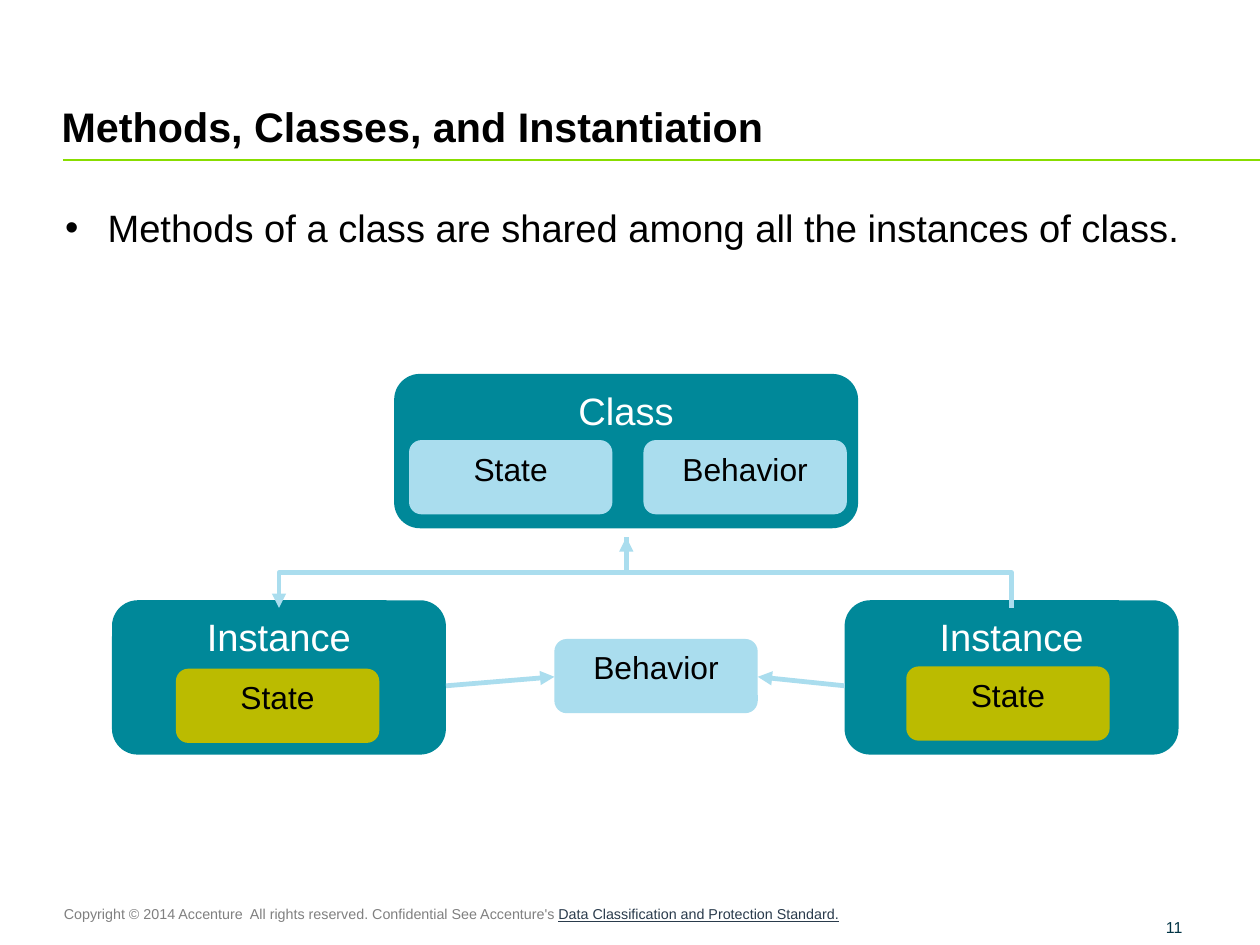
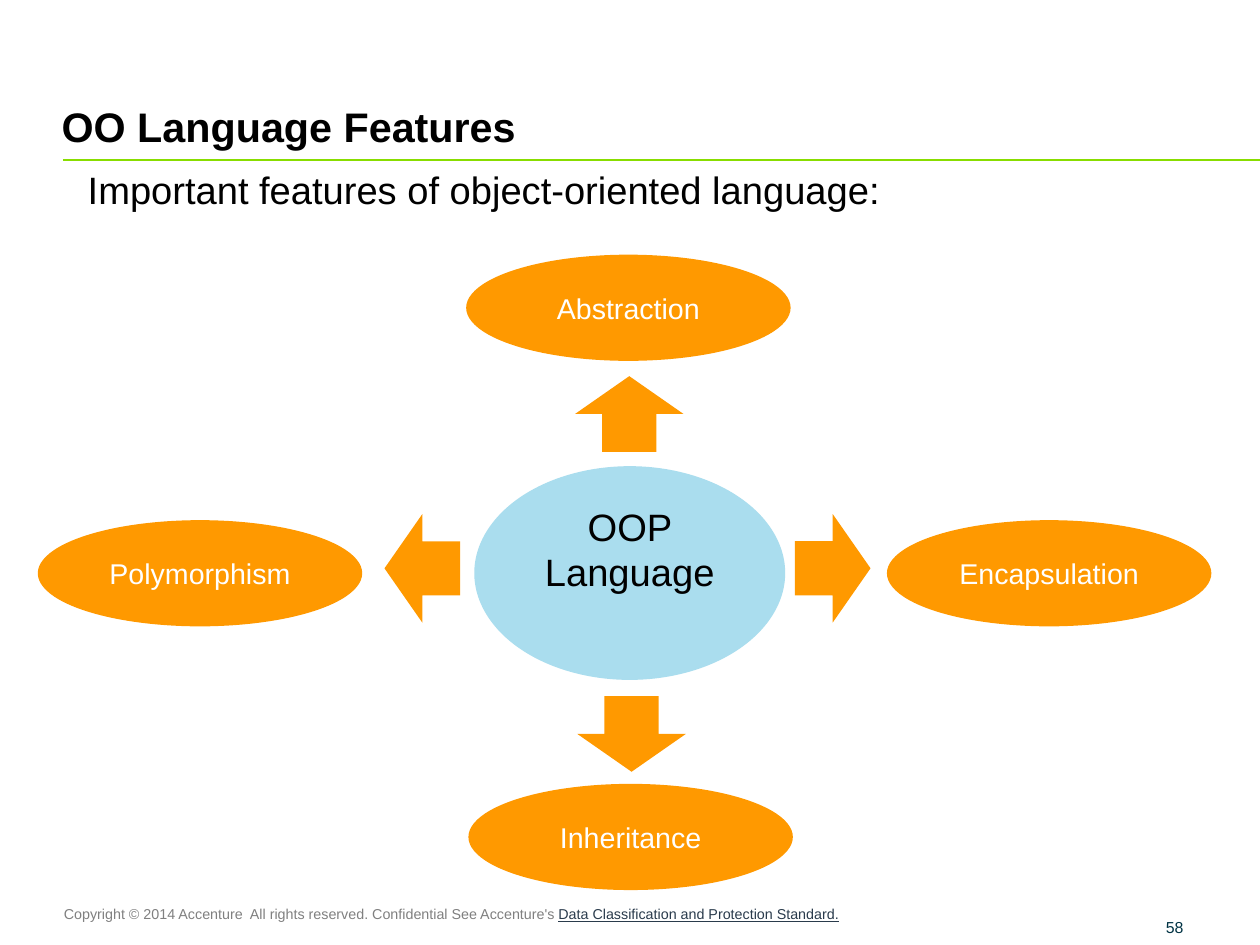
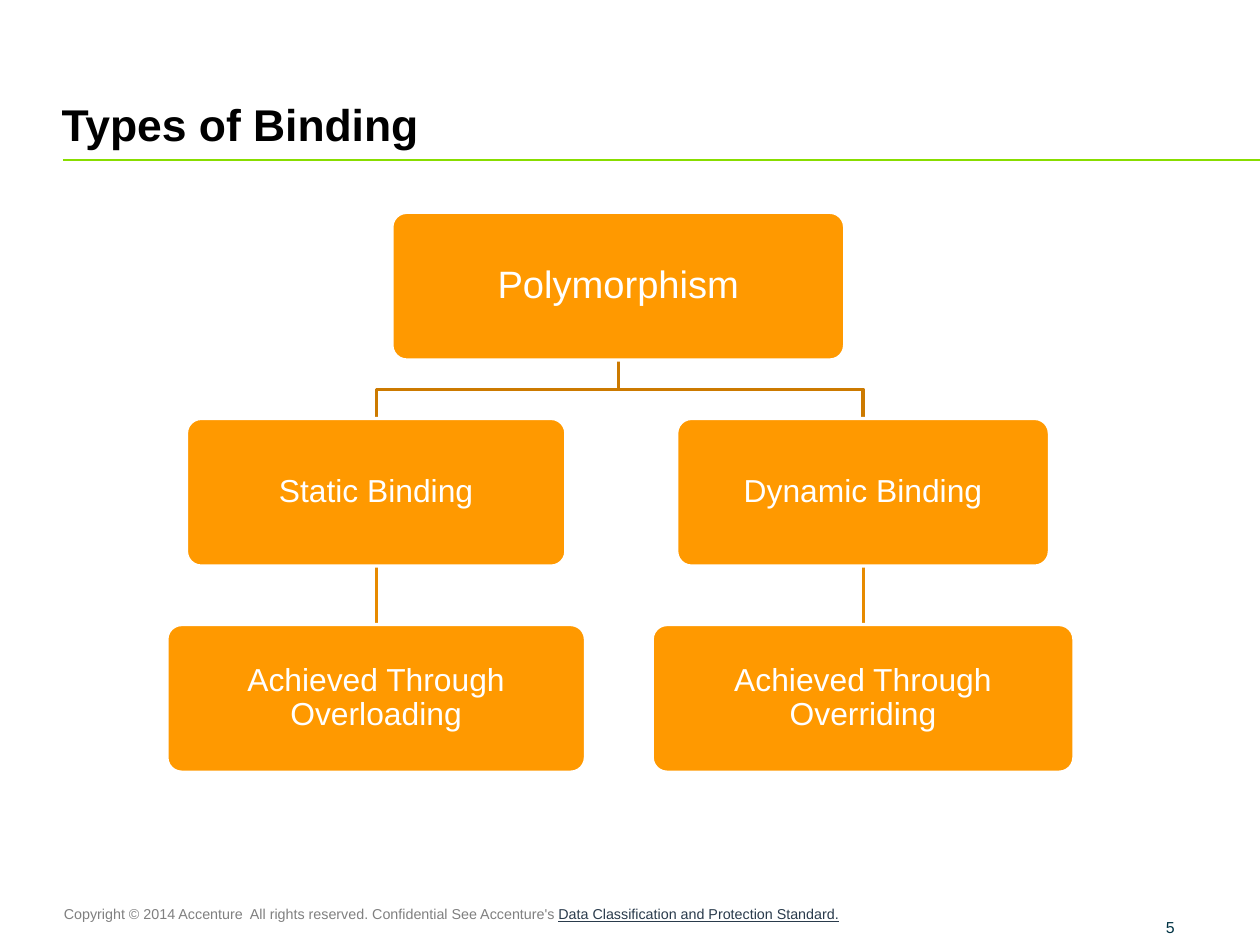
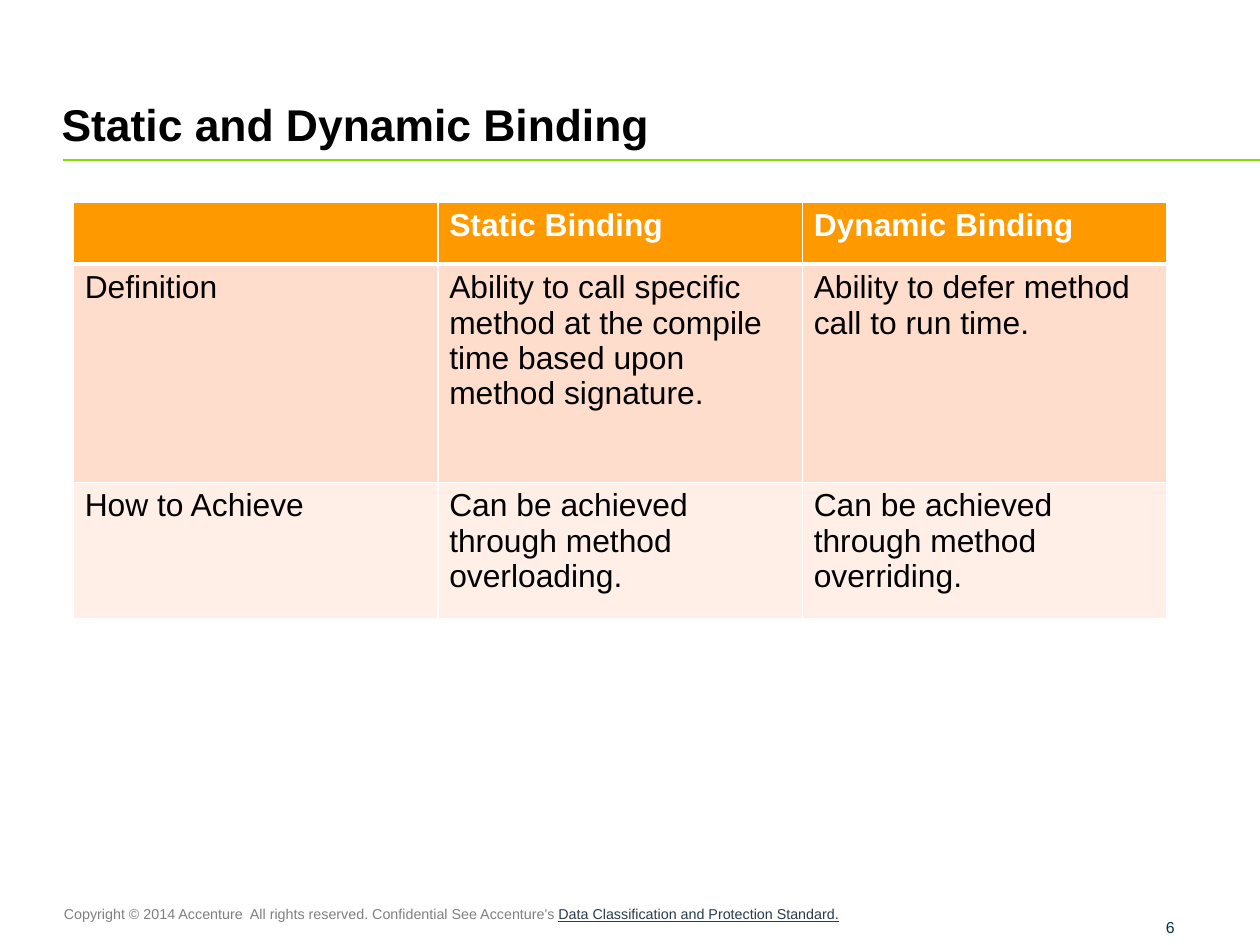
from lxml.etree import SubElement
from pptx import Presentation
from pptx.dml.color import RGBColor
from pptx.enum.shapes import MSO_CONNECTOR as LINK, MSO_SHAPE as SHAPE
from pptx.enum.text import MSO_ANCHOR as ANCHOR, PP_ALIGN as ALIGN
from pptx.oxml.ns import qn
from pptx.util import Cm, Pt

FONT = "Arial"
BLACK, WHITE = "000000", "FFFFFF"
GREEN, TEAL, SKY, OLIVE, ORANGE = "88DD00", "008899", "AADDEE", "BBBB00", "FF9900"
BROWN, AMBER = "CC7A00", "E78A00"
PEACH, CREAM = "FFDDCC", "FFEFE7"
GREY, NAVY, INK = "808080", "2A3B4C", "003344"
NOTICE = "Copyright © 2014 Accenture  All rights reserved. Confidential See Accenture's "
POLICY = "Data Classification and Protection Standard."
CHIP = (4.52, 1.65)


def hex_color(value):
    """Turn a hex string into a colour."""
    return RGBColor.from_string(value)


def style(span, size, color, bold=False):
    """Format the font of a run."""
    span.font.name = FONT
    span.font.size = Pt(size)
    span.font.bold = bold
    span.font.color.rgb = hex_color(color)


def add_text(page, box, text, size, color, bold=False, anchor=ANCHOR.TOP, insets=(0.25, 0.13, 0.25, 0.13)):
    """Add a text box and return its first paragraph."""
    frame = page.shapes.add_textbox(*map(Cm, box)).text_frame
    frame.word_wrap = True
    frame.vertical_anchor = anchor
    frame.margin_left, frame.margin_top, frame.margin_right, frame.margin_bottom = map(Cm, insets)
    frame.text = text
    para = frame.paragraphs[0]
    style(para.runs[0], size, color, bold)
    return para


def add_block(page, kind, box, fill, text="", size=20, color=BLACK, anchor=ANCHOR.TOP):
    """Add a filled shape with an optional centred label."""
    block = page.shapes.add_shape(kind, *map(Cm, box))
    block.shadow.inherit = False
    block.fill.solid()
    block.fill.fore_color.rgb = hex_color(fill)
    block.line.fill.background()
    if text:
        frame = block.text_frame
        frame.word_wrap = True
        frame.vertical_anchor = anchor
        frame.text = text
        para = frame.paragraphs[0]
        para.alignment = ALIGN.CENTER
        style(para.runs[0], size, color)
    return block


def add_line(page, start, end, color, width, arrow=False, kind=LINK.STRAIGHT):
    """Add a connector, with an arrowhead at its end if wanted."""
    line = page.shapes.add_connector(kind, *map(Cm, (*start, *end)))
    line.line.color.rgb = hex_color(color)
    line.line.width = Pt(width)
    if arrow:
        SubElement(line.line._get_or_add_ln(), qn("a:tailEnd"), type="triangle")
    SubElement(line._element.spPr, qn("a:effectLst"))
    return line


def add_elbow(page, start, end, color, width, arrow=False):
    """Add a bent connector that leaves and arrives vertically."""
    middle_x, middle_y = (start[0] + end[0]) / 2, (start[1] + end[1]) / 2
    half_x, half_y = (end[0] - start[0]) / 2, (end[1] - start[1]) / 2
    line = add_line(page, (middle_x - half_y, middle_y + half_x),
                    (middle_x + half_y, middle_y - half_x), color, width, arrow, LINK.ELBOW)
    line._element.spPr.find(qn("a:xfrm")).set("rot", "5400000")


def add_page(deck, title, number, size):
    """Add a slide with its title, rule, footer and number."""
    page = deck.slides.add_slide(deck.slide_layouts[6])
    add_line(page, (1.4, 3.56), (28, 3.56), GREEN, 1)
    notice = add_text(page, (1.17, 19.99, 25.55, 0.64), NOTICE, 9, GREY)
    policy = notice.add_run()
    policy.text = POLICY
    style(policy, 9, NAVY)
    policy.font.underline = True
    add_text(page, (1.37, 0.94, 26.62, 2.41), title, size, BLACK, True, ANCHOR.BOTTOM, (0, 0.13, 0.25, 0))
    add_text(page, (25.91, 20.02, 1.96, 0.79), number, 10, INK, anchor=ANCHOR.BOTTOM, insets=(0, 0, 0, 0))
    return page


def add_card(page, left, top, width, name, chips):
    """Add a teal card holding chips placed relative to its corner."""
    add_block(page, SHAPE.ROUNDED_RECTANGLE, (left, top, width, 3.43), TEAL, name, 24, WHITE)
    for x, y, fill, text in chips:
        add_block(page, SHAPE.ROUNDED_RECTANGLE, (left + x, top + y, *CHIP), fill, text)


def build_instantiation(deck):
    """Build the slide on classes and their instances."""
    page = add_page(deck, "Methods, Classes, and Instantiation", "11", 26)
    para = add_text(page, (1.42, 4.42, 25.22, 1.5),
                    "Methods of a class are shared among all the instances of class.",
                    24, BLACK, insets=(0, 0.13, 0.25, 0.13))
    props = para._p.get_or_add_pPr()
    props.set("marL", str(Cm(0.97)))
    props.set("indent", str(-Cm(0.94)))
    SubElement(props, qn("a:buFont"), typeface=FONT)
    SubElement(props, qn("a:buChar"), char="•")

    add_card(page, 8.76, 8.31, 10.31, "Class", [(0.33, 1.47, SKY, "State"), (5.54, 1.47, SKY, "Behavior")])
    add_card(page, 2.49, 13.34, 7.42, "Instance", [(1.42, 1.52, OLIVE, "State")])
    add_card(page, 18.77, 13.34, 7.42, "Instance", [(1.37, 1.47, OLIVE, "State")])
    add_block(page, SHAPE.ROUNDED_RECTANGLE, (12.32, 14.2, *CHIP), SKY, "Behavior")

    hub = (13.92, 11.94)
    add_elbow(page, hub, (6.2, 13.51), SKY, 3, True)
    add_elbow(page, (22.48, 13.51), hub, SKY, 3, True)
    for start, end in ((9.91, 12.32), (18.77, 16.84)):
        add_line(page, (start, 15.24), (end, 15.04), SKY, 3, True)


def build_features(deck):
    """Build the slide with four features around a hub."""
    page = add_page(deck, "OO Language Features", "58", 26)
    add_text(page, (1.7, 3.56, 18.34, 1.27), "Important features of object-oriented language:", 24, BLACK)
    add_block(page, SHAPE.OVAL, (10.54, 10.36, 6.91, 4.75), SKY, "OOP Language", 24)
    features = [
        ("Abstraction", 10.36, 5.66, 12.78, 8.36, 0),
        ("Encapsulation", 19.71, 11.56, 17.3, 11.79, 90),
        ("Inheritance", 10.41, 17.42, 12.83, 15.47, 180),
        ("Polymorphism", 0.84, 11.56, 8.18, 11.79, 270),
    ]
    for name, left, top, arrow_left, arrow_top, turn in features:
        add_block(page, SHAPE.OVAL, (left, top, 7.21, 2.36), ORANGE, name, 18, WHITE, ANCHOR.MIDDLE)
        arrow = add_block(page, SHAPE.UP_ARROW, (arrow_left, arrow_top, 2.41, 1.68), ORANGE)
        arrow.rotation = turn


def add_node(page, center, top, width, height, text, size):
    """Add one box of the tree, centred on a column."""
    box = (center - width / 2, top, width, height)
    node = add_block(page, SHAPE.ROUNDED_RECTANGLE, box, ORANGE, text, size, WHITE, ANCHOR.MIDDLE)
    node.adjustments[0] = 0.1
    node.line.color.rgb = hex_color(WHITE)
    node.line.width = Pt(2)
    node.text_frame.paragraphs[0].line_spacing = 0.9


def build_binding_tree(deck):
    """Build the tree of binding types."""
    page = add_page(deck, "Types of Binding", "5", 28)
    height, step = 3.28, 4.58
    root_top, kind_top, means_top = (4.72 + step * level for level in range(3))
    root, left, right = 13.74, 8.36, 19.18
    root_foot = (root, root_top + height)
    add_elbow(page, root_foot, (left, kind_top), BROWN, 2)
    add_elbow(page, (right, kind_top), root_foot, BROWN, 2)
    add_node(page, root, root_top, 10.06, height, "Polymorphism", 24)
    branches = [
        (left, "Static Binding", 8.43, "Achieved Through Overloading", 9.3),
        (right, "Dynamic Binding", 8.28, "Achieved Through Overriding", 9.37),
    ]
    for center, kind, kind_width, means, means_width in branches:
        add_line(page, (center, kind_top + height), (center, means_top), AMBER, 2)
        add_node(page, center, kind_top, kind_width, height, kind, 20)
        add_node(page, center, means_top, means_width, height, means, 20)


def set_borders(cell, widths):
    """Draw white borders of the given widths around a cell."""
    props = cell._tc.get_or_add_tcPr()
    for side, width in widths.items():
        line = SubElement(props, qn(f"a:ln{side}"), w=str(Pt(width)))
        SubElement(SubElement(line, qn("a:solidFill")), qn("a:srgbClr"), val=WHITE)


def build_binding_table(deck):
    """Build the table comparing both kinds of binding."""
    page = add_page(deck, "Static and Dynamic Binding", "6", 28)
    rows = [
        (1.37, ORANGE, ("", "Static Binding", "Dynamic Binding")),
        (4.85, PEACH, ("Definition",
                       "Ability to call specific method at the compile time based upon method signature.",
                       "Ability to defer method call to run time.")),
        (3.02, CREAM, ("How to Achieve",
                       "Can be achieved through method overloading.",
                       "Can be achieved through method overriding.")),
    ]
    table = page.shapes.add_table(3, 3, *map(Cm, (1.63, 4.5, 24.3, 9.24))).table
    for column in table.columns:
        column.width = Cm(8.1)
    for index, (height, fill, texts) in enumerate(rows):
        table.rows[index].height = Cm(height)
        header = index == 0
        widths = {"L": 0.96, "R": 0.96, "T": 3 if index == 1 else 0.96, "B": 3 if header else 0.96}
        for cell, text in zip(table.rows[index].cells, texts):
            set_borders(cell, widths)
            cell.fill.solid()
            cell.fill.fore_color.rgb = hex_color(fill)
            if text:
                cell.text_frame.text = text
                style(cell.text_frame.paragraphs[0].runs[0], 20, WHITE if header else BLACK, header)


def main():
    """Build and save the deck."""
    deck = Presentation()
    deck.slide_width, deck.slide_height = Cm(28), Cm(21)
    build_instantiation(deck)
    build_features(deck)
    build_binding_tree(deck)
    build_binding_table(deck)
    deck.save("out.pptx")


if __name__ == "__main__":
    main()
